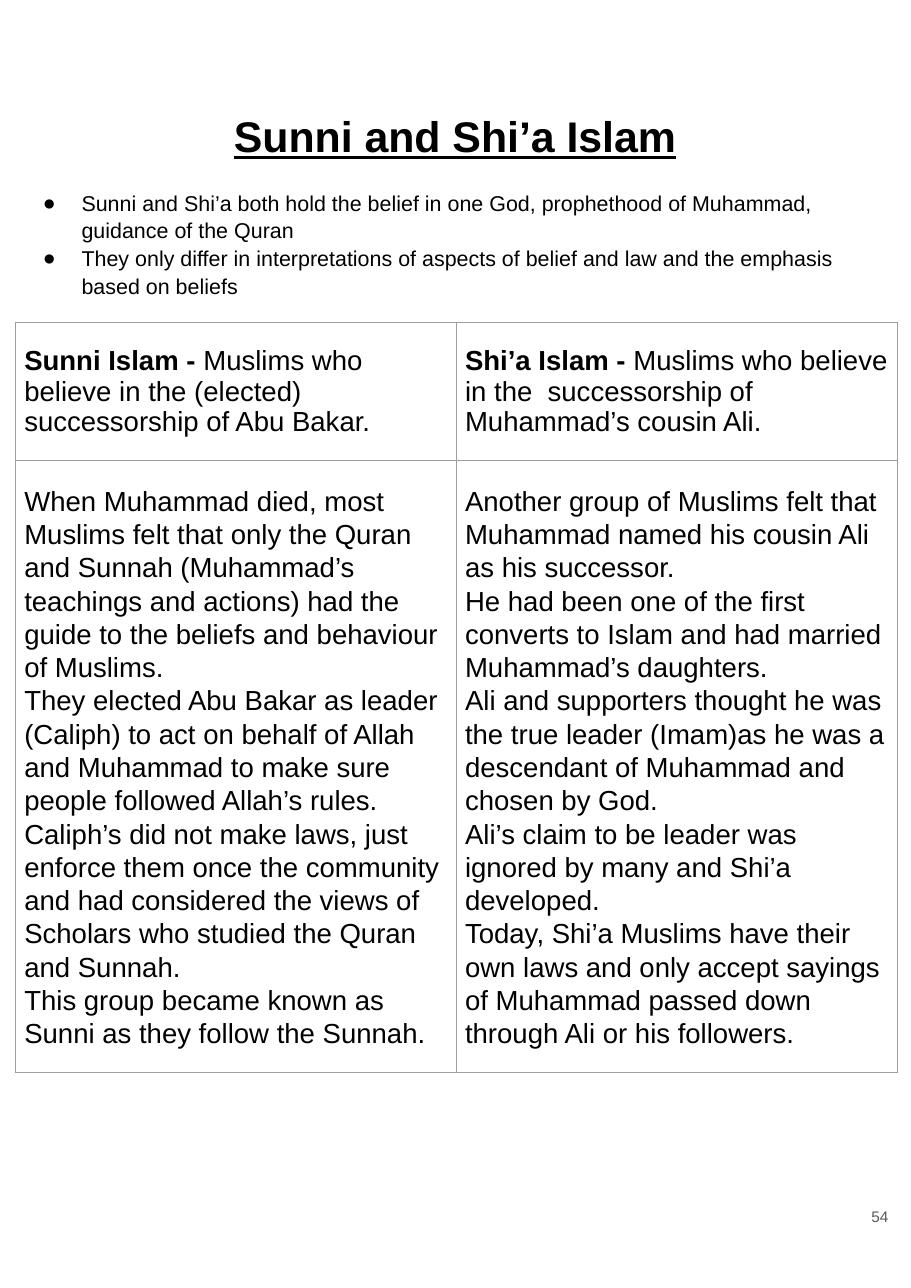
from lxml.etree import SubElement
from pptx import Presentation
from pptx.dml.color import RGBColor
from pptx.enum.text import MSO_ANCHOR as Anchor, MSO_AUTO_SIZE as AutoSize, PP_ALIGN as Align
from pptx.oxml.ns import qn
from pptx.util import Cm, Pt

FONT = "Arial"
BLACK, WHITE, GREY, BORDER = "000000", "FFFFFF", "595959", "9E9E9E"

BELIEFS = [
    "Sunni and Shi’a both hold the belief in one God, prophethood of Muhammad, guidance of the Quran",
    "They only differ in interpretations of aspects of belief and law and the emphasis based on beliefs",
]
BRANCHES = [
    ("Sunni Islam - ",
     "Muslims who believe in the (elected) successorship of Abu Bakar.",
     ["When Muhammad died, most Muslims felt that only the Quran and Sunnah (Muhammad’s teachings and "
      "actions) had the guide to the beliefs and behaviour of Muslims.",
      "They elected Abu Bakar as leader (Caliph) to act on behalf of Allah and Muhammad to make sure "
      "people followed Allah’s rules.",
      "Caliph’s did not make laws, just enforce them once the community and had considered the views of "
      "Scholars who studied the Quran and Sunnah.",
      "This group became known as Sunni as they follow the Sunnah."]),
    ("Shi’a Islam - ",
     "Muslims who believe in the  successorship of Muhammad’s cousin Ali.",
     ["Another group of Muslims felt that Muhammad named his cousin Ali as his successor.",
      "He had been one of the first converts to Islam and had married Muhammad’s daughters.",
      "Ali and supporters thought he was the true leader (Imam)as he was a descendant of Muhammad and "
      "chosen by God.",
      "Ali’s claim to be leader was ignored by many and Shi’a developed.",
      "Today, Shi’a Muslims have their own laws and only accept sayings of Muhammad passed down through "
      "Ali or his followers."]),
]


def color(value):
    return RGBColor.from_string(value)


def add_bullet(paragraph):
    props = paragraph._p.get_or_add_pPr()
    props.set("marL", str(Cm(1.27)))
    props.set("indent", str(Cm(-0.89)))
    bullet_color = SubElement(props, qn("a:buClr"))
    SubElement(bullet_color, qn("a:srgbClr"), val=BLACK)
    SubElement(props, qn("a:buFont"), typeface=FONT)
    SubElement(props, qn("a:buChar"), char="●")


def write(frame, paragraphs, size=18, ink=BLACK, align=Align.LEFT, spacing=1.0,
          bullets=False, underline=False):
    """Each paragraph is a list of (text, bold) runs."""
    for index, runs in enumerate(paragraphs):
        paragraph = frame.add_paragraph() if index else frame.paragraphs[0]
        if bullets:
            add_bullet(paragraph)
        paragraph.alignment = align
        paragraph.line_spacing = spacing
        for text, bold in runs:
            run = paragraph.add_run()
            run.text = text
            font = run.font
            font.name, font.size, font.bold = FONT, Pt(size), bold
            font.underline = underline
            font.color.rgb = color(ink)


def plain(texts):
    return [[(text, False)] for text in texts]


def set_frame(frame, anchor):
    frame.word_wrap = True
    frame.auto_size = AutoSize.NONE
    frame.vertical_anchor = anchor
    frame.margin_left = frame.margin_right = Cm(0.25)
    frame.margin_top = frame.margin_bottom = Cm(0.25)


def add_title(slide, left, top, width, height):
    title = slide.shapes.title
    title.left, title.top, title.width, title.height = left, top, width, height
    set_frame(title.text_frame, Anchor.TOP)
    write(title.text_frame, [[("Sunni and Shi’a Islam", True)]], size=28,
          align=Align.CENTER, underline=True)


def add_text(slide, left, top, width, height, texts, **style):
    frame = slide.shapes.add_textbox(left, top, width, height).text_frame
    set_frame(frame, Anchor.MIDDLE)
    write(frame, plain(texts), **style)


def format_cell(cell):
    cell.margin_left = cell.margin_right = Cm(0.2)
    cell.margin_top = cell.margin_bottom = Cm(0.53)
    props = cell._tc.get_or_add_tcPr()
    for side in ("lnL", "lnR", "lnT", "lnB"):
        line = SubElement(props, qn(f"a:{side}"), w=str(Pt(0.75)))
        fill = SubElement(line, qn("a:solidFill"))
        SubElement(fill, qn("a:srgbClr"), val=BORDER)
    cell.fill.solid()
    cell.fill.fore_color.rgb = color(WHITE)


def add_comparison(slide, left, top, width, row_heights):
    table = slide.shapes.add_table(len(row_heights), len(BRANCHES), left, top,
                                   width, sum(row_heights)).table
    table.first_row = table.horz_banding = False
    for row, height in zip(table.rows, row_heights):
        row.height = height
    for index, (name, definition, history) in enumerate(BRANCHES):
        table.columns[index].width = width // len(BRANCHES)
        heading, account = table.cell(0, index), table.cell(1, index)
        format_cell(heading)
        format_cell(account)
        write(heading.text_frame, [[(name, True), (definition, False)]])
        write(account.text_frame, plain(history), spacing=1.08)


def main():
    deck = Presentation()
    deck.slide_width, deck.slide_height = Cm(21), Cm(29.7)
    slide = deck.slides.add_slide(deck.slide_layouts[5])
    slide.background.fill.solid()
    slide.background.fill.fore_color.rgb = color(WHITE)

    # Title
    add_title(slide, Cm(0.71), Cm(2.29), Cm(19.56), Cm(3.3))
    # Sunni and Shi'a side by side
    add_comparison(slide, Cm(0.36), Cm(7.43), Cm(20.32), [Cm(3.2), Cm(13.97)])
    # Shared beliefs
    add_text(slide, Cm(0.36), Cm(1.75), Cm(20.17), Cm(7.72), BELIEFS,
             size=14, spacing=1.08, bullets=True)
    # Page number
    add_text(slide, Cm(19.46), Cm(26.92), Cm(1.27), Cm(2.26), ["54"],
             size=10, ink=GREY, align=Align.RIGHT)

    deck.save("out.pptx")


if __name__ == "__main__":
    main()
